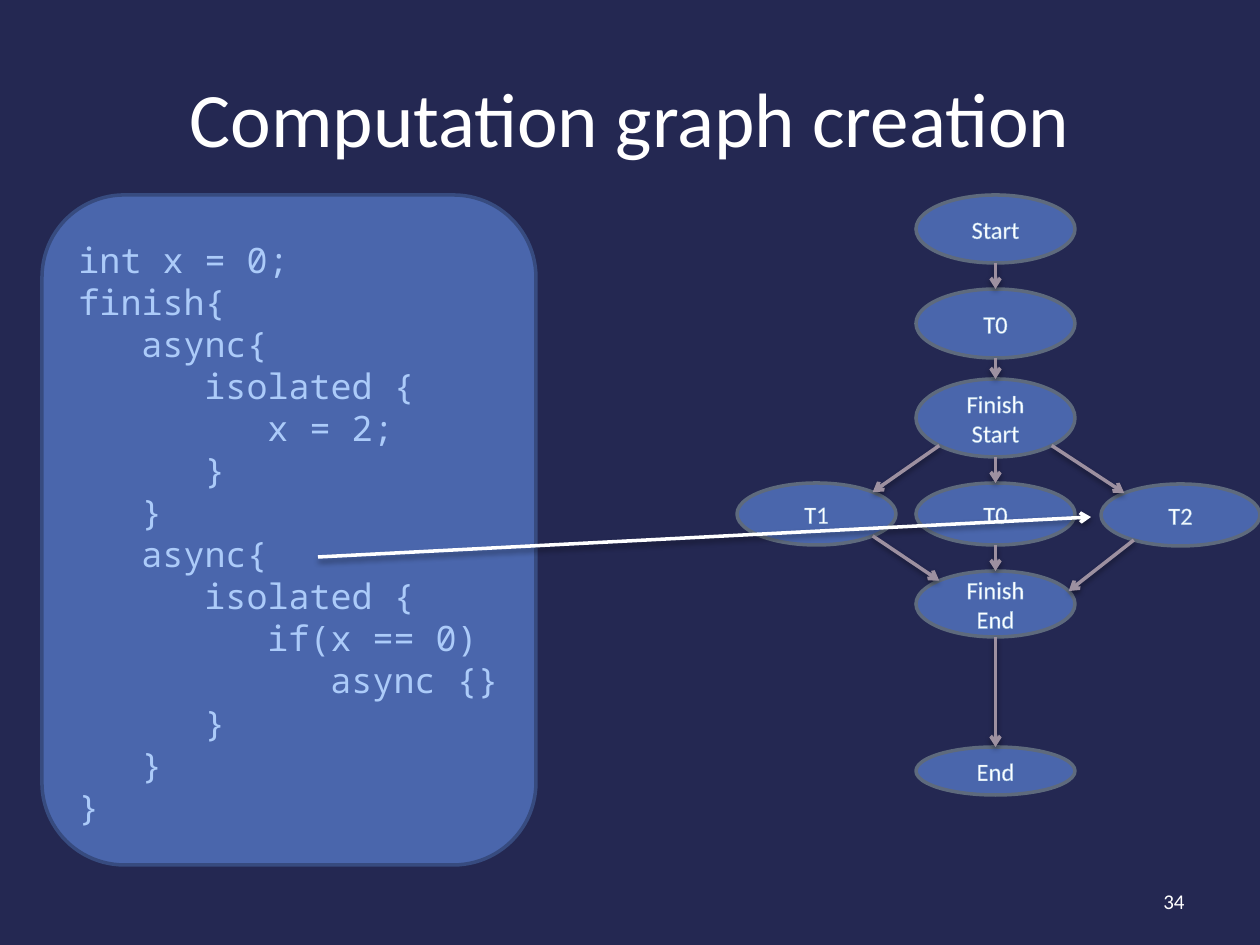
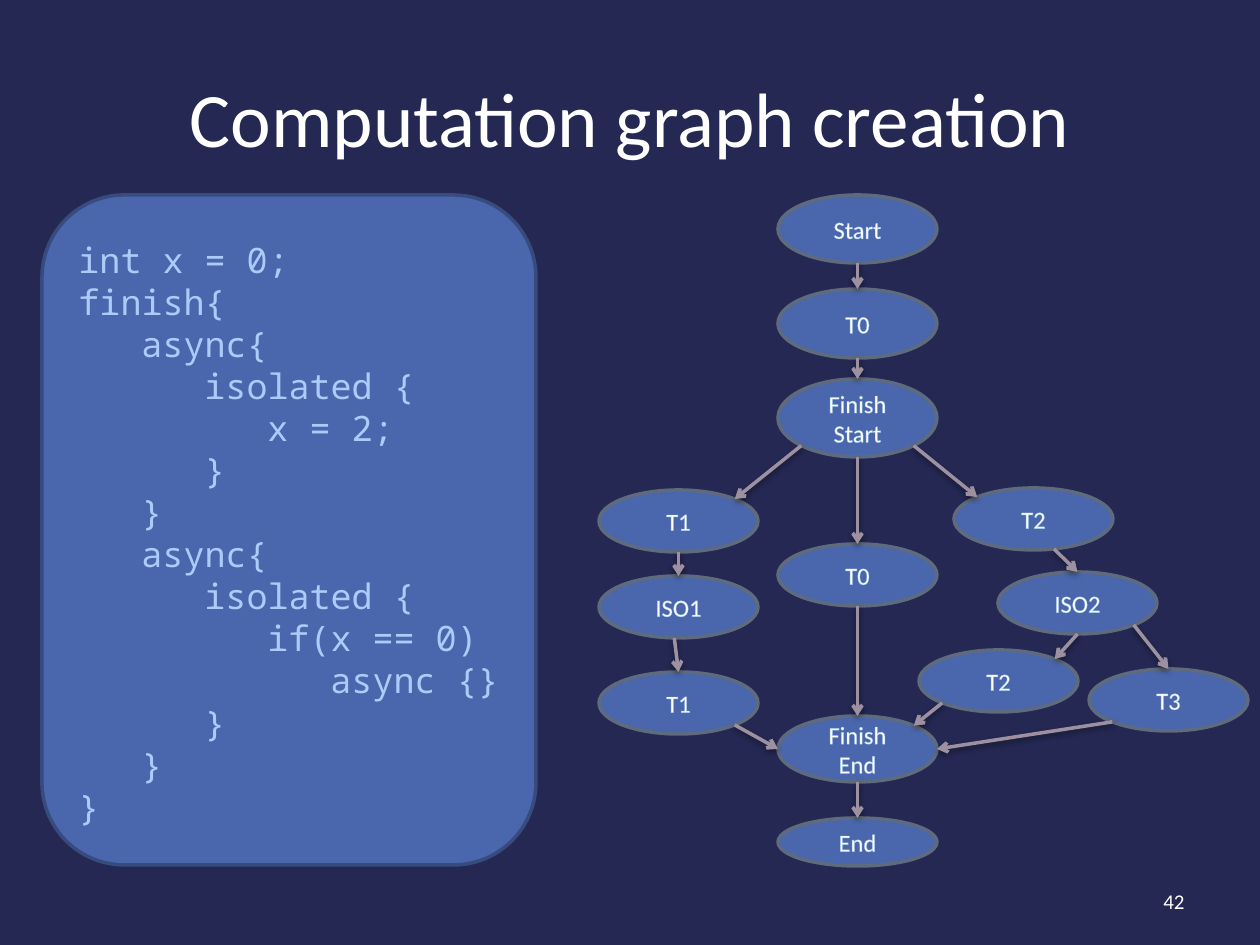
from math import cos, radians, sin

from lxml.etree import fromstring
from pptx import Presentation
from pptx.dml.color import RGBColor
from pptx.enum.shapes import MSO_CONNECTOR, MSO_SHAPE
from pptx.enum.text import MSO_ANCHOR, PP_ALIGN
from pptx.util import Pt

SCALE = 914400 / 126
WIDE, HIGH = 1260, 945
TITLE = "Computation graph creation"
SANS, MONO = "Calibri", "Noto Sans Mono"
NS = 'xmlns:a="http://schemas.openxmlformats.org/drawingml/2006/main"'
COLORS = {
    "back": "242852", "fill": "4A66AC", "panel": "374B7F", "ring": "5E6A7D",
    "link": "9D90A0", "white": "FFFFFF", "code": "ACCBF9", "glow": "A1C4E3",
    "shade": "000000",
}
CODE = [
    (0, "int x = 0;"), (0, "finish{"),
    (1, "async{"), (2, "isolated {"), (3, "x = 2;"), (2, "}"), (1, "}"),
    (1, "async{"), (2, "isolated {"), (3, "if(x == 0)"), (4, "async {}"),
    (2, "}"), (1, "}"), (0, "}"),
]
STEP = 63
NODE, SPINE = 159, 179
E, SE, S, SW, W, NW, N, NE = range(0, 360, 45)

HEAD = {
    "start": ("Start", SPINE, 0, 68),
    "main": ("T0", SPINE, 94, 69),
    "open": ("Finish\nStart", SPINE, 184, 78),
}
HEAD_LINKS = [("start", S, "main", N), ("main", S, "open", N)]
CORE_LINKS = [
    ("open", SW, "t1", NE), ("open", S, "t0", N), ("open", SE, "t2", NW),
    ("t0", S, "close", N), ("close", S, "end", N),
]
FIRST = {
    "t1": ("T1", 0, 288, 62),
    "t0": ("T0", SPINE, 288, 62),
    "t2": ("T2", 364, 289, 62),
    "close": ("Finish\nEnd", SPINE, 376, 66),
    "end": ("End", SPINE, 552, 48),
}
FIRST_LINKS = [("t1", SE, "close", NW), ("t2", 126, "close", 337)]
FULL = {
    "t1": ("T1", 0, 295, 62),
    "iso1": ("ISO1", 0, 381, 62),
    "t1 last": ("T1", 0, 477, 62),
    "t0": ("T0", SPINE, 349, 62),
    "t2": ("T2", 355, 293, 62),
    "iso2": ("ISO2", 399, 377, 62),
    "t2 last": ("T2", 320, 455, 62),
    "t3": ("T3", 490, 474, 62),
    "close": ("Finish\nEnd", SPINE, 521, 66),
    "end": ("End", SPINE, 623, 48),
}
FULL_LINKS = [
    ("t1", S, "iso1", N), ("iso1", 93, "t1 last", N),
    ("t1 last", SE, "close", W),
    ("t2", 75, "iso2", N), ("iso2", S, "t2 last", NE),
    ("iso2", SE, "t3", N), ("t2 last", SW, "close", NE),
    ("t3", SW, "close", E),
]


def px(*sizes):
    """Turn px lengths into EMU."""
    return [round(size * SCALE) for size in sizes]


def tint(name):
    """Look up a named colour."""
    return RGBColor.from_string(COLORS[name])


def write(frame, text, size=14, font=SANS, color="white", align=PP_ALIGN.CENTER,
          glow=None, levels=None, leading=None):
    """Fill a text frame, one paragraph a line."""
    frame.word_wrap = True
    frame.vertical_anchor = MSO_ANCHOR.MIDDLE
    for i, line in enumerate(text.split("\n")):
        para = frame.add_paragraph() if i else frame.paragraphs[0]
        para.alignment = align
        if leading:
            para.line_spacing = Pt(leading)
        if levels:
            para._p.get_or_add_pPr().set("marL", str(px(levels[i] * STEP)[0]))
        run = para.add_run()
        run.text = line
        run.font.size = Pt(size)
        run.font.name = font
        run.font.color.rgb = tint(color)
        if glow:
            run._r.get_or_add_rPr().insert(0, fromstring(
                f'<a:ln {NS} w="9525"><a:solidFill><a:srgbClr val="{COLORS[glow]}"/>'
                '</a:solidFill></a:ln>'))


def block(slide, kind, box, edge):
    """Add a filled shape with a coloured edge."""
    shape = slide.shapes.add_shape(kind, *px(*box))
    shape.shadow.inherit = False
    shape.fill.solid()
    shape.fill.fore_color.rgb = tint("fill")
    shape.line.color.rgb = tint(edge)
    shape.line.width = Pt(2)
    return shape


def arrow(slide, start, stop, color="link"):
    """Add a straight arrow with a soft shadow."""
    line = slide.shapes.add_connector(MSO_CONNECTOR.STRAIGHT, *px(*start, *stop))
    line.line.color.rgb = tint(color)
    line.line.width = Pt(2)
    line.line._get_or_add_ln().append(fromstring(f'<a:tailEnd {NS} type="arrow"/>'))
    line._element.spPr.append(fromstring(
        f'<a:effectLst {NS}><a:outerShdw blurRad="40000" dist="20000" dir="5400000" '
        f'rotWithShape="0"><a:srgbClr val="{COLORS["shade"]}"><a:alpha val="38000"/>'
        '</a:srgbClr></a:outerShdw></a:effectLst>'))
    return line


def rim(box, angle):
    """Find the point on an oval at a clockwise angle."""
    x, y, w, h = box
    turn = radians(angle)
    return x + w / 2 * (1 + cos(turn)), y + h / 2 * (1 + sin(turn))


def graph(slide, left, top, nodes, links):
    """Draw the ovals and their links from a corner."""
    boxes, ovals = {}, {}
    for key, (label, x, y, high) in nodes.items():
        boxes[key] = (left + x, top + y, NODE, high)
        ovals[key] = block(slide, MSO_SHAPE.OVAL, boxes[key], "ring")
        write(ovals[key].text_frame, label, glow="glow")
    for source, leave, target, reach in links:
        line = arrow(slide, rim(boxes[source], leave), rim(boxes[target], reach))
        if reach == N:
            line.end_connect(ovals[target], 0)


def panel(slide, box):
    """Draw the code panel."""
    frame = block(slide, MSO_SHAPE.ROUNDED_RECTANGLE, box, "panel").text_frame
    frame.margin_top, frame.margin_bottom = px(12, 6)
    write(frame, "\n".join(line for _, line in CODE), size=20, font=MONO,
          color="code", align=PP_ALIGN.LEFT, levels=[level for level, _ in CODE],
          leading=24)


def page(deck, number, left, nodes, links):
    """Build one slide with title, graph, code and number."""
    slide = deck.slides.add_slide(deck.slide_layouts[5])
    title = slide.shapes.title
    title.left, title.top, title.width, title.height = px(63, 38, 1134, 157)
    write(title.text_frame, TITLE, size=44)
    graph(slide, left, 195, HEAD | nodes, HEAD_LINKS + CORE_LINKS + links)
    panel(slide, (42, 195, 494, 670))
    foot = slide.shapes.add_textbox(*px(903, 876, 294, 50))
    write(foot.text_frame, number, size=12, align=PP_ALIGN.RIGHT)
    return slide


def main():
    """Build and save the deck."""
    deck = Presentation()
    deck.slide_width, deck.slide_height = px(WIDE, HIGH)
    back = deck.slide_master.background.fill
    back.solid()
    back.fore_color.rgb = tint("back")
    first = page(deck, "34", 737, FIRST, FIRST_LINKS)
    arrow(first, (318, 557), (1091, 517), "white")
    page(deck, "42", 599, FULL, FULL_LINKS)
    deck.save("out.pptx")


if __name__ == "__main__":
    main()
